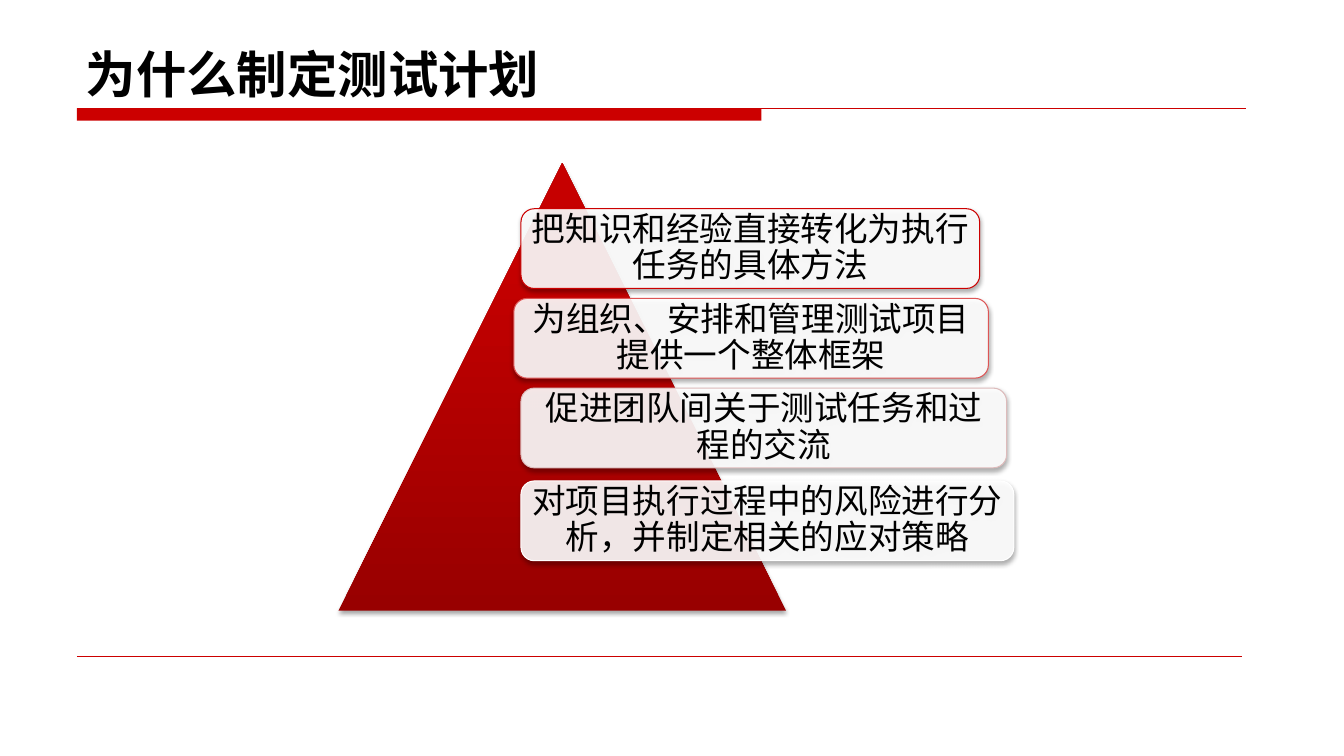
from pptx import Presentation
from pptx.dml.color import RGBColor
from pptx.enum.shapes import MSO_CONNECTOR, MSO_SHAPE
from pptx.enum.text import MSO_ANCHOR, PP_ALIGN
from pptx.util import Cm, Pt
from lxml.etree import SubElement
from pptx.oxml.ns import qn

THEME = {
    "red": RGBColor(0xCC, 0x00, 0x00),
    "pyramid_base": RGBColor(0x98, 0x00, 0x00),
    "pyramid_tip": RGBColor(0xC6, 0x00, 0x00),
    "card": RGBColor(0xFF, 0xFF, 0xFF),
    "text": RGBColor(0x00, 0x00, 0x00),
    "title_font": "Noto Sans CJK SC",
    "body_font": "DejaVu Sans",
    "title_size": Pt(36),
    "body_size": Pt(24),
}


def write_text(shape, text, font_name, size, bold, frame_format, paragraph_format):
    frame = shape.text_frame
    paragraph = frame.paragraphs[0]
    for target, values in ((frame, frame_format), (paragraph, paragraph_format)):
        for name, value in values.items():
            setattr(target, name, value)
    run = paragraph.add_run()
    run.text = text
    for name, value in {"name": font_name, "size": size, "bold": bold}.items():
        setattr(run.font, name, value)
    run.font.color.rgb = THEME["text"]
    SubElement(run.font._element, qn("a:ea"), typeface=font_name)


def cast_shadow(shape):
    """Give the shape a soft shadow straight below; call after setting its line."""
    shape.shadow.inherit = False
    effects = shape._element.spPr.find(qn("a:effectLst"))
    shadow = SubElement(effects, qn("a:outerShdw"), blurRad=str(Pt(3.1)),
                        dist=str(Pt(1.8)), dir="5400000", rotWithShape="0")
    black = SubElement(shadow, qn("a:srgbClr"), val="000000")
    SubElement(black, qn("a:alpha"), val="35000")


deck = Presentation()
deck.slide_width, deck.slide_height = Cm(33.87), Cm(19.05)
slide = deck.slides.add_slide(deck.slide_layouts[6])
shapes = slide.shapes

# Title with its rule, and the footer rule
title_bar = shapes.add_shape(MSO_SHAPE.RECTANGLE, Cm(1.94), Cm(2.73), Cm(17.25), Cm(0.31))
title_bar.shadow.inherit = False
title_bar.fill.solid()
title_bar.fill.fore_color.rgb = THEME["red"]
title_bar.line.fill.background()

for right, y, weight in ((31.4, 2.73, 0.75), (31.3, 16.53, 0.25)):
    rule = shapes.add_connector(MSO_CONNECTOR.STRAIGHT, Cm(1.94), Cm(y), Cm(right), Cm(y))
    rule.line.color.rgb = THEME["red"]
    rule.line.width = Pt(weight)
    SubElement(rule._element.spPr, qn("a:effectLst"))

title = shapes.add_textbox(Cm(1.91), Cm(0.74), Cm(29.64), Cm(2))
write_text(title, "为什么制定测试计划", THEME["title_font"], THEME["title_size"], True,
           {"word_wrap": True, "vertical_anchor": MSO_ANCHOR.BOTTOM},
           {"alignment": PP_ALIGN.LEFT})

# Pyramid
pyramid = shapes.add_shape(MSO_SHAPE.ISOSCELES_TRIANGLE, Cm(8.53), Cm(4.11), Cm(11.28), Cm(11.28))
pyramid.fill.gradient()
pyramid.fill.gradient_angle = 90
stops = pyramid.fill.gradient_stops
for stop, position, colour in zip(stops, (0, 0.8), ("pyramid_base", "pyramid_tip")):
    stop.position = position
    stop.color.rgb = THEME[colour]
pyramid.line.fill.background()
cast_shadow(pyramid)

# Reasons: left, top, width, outline, text
reasons = [
    (13.13, 5.26, 11.56, "CC0000", "把知识和经验直接转化为执行任务的具体方法"),
    (12.95, 7.52, 11.96, "DD5555", "为组织、安排和管理测试项目提供一个整体框架"),
    (13.13, 9.78, 12.24, "DDBBBB", "促进团队间关于测试任务和过程的交流"),
    (13.13, 12.12, 12.42, "FFFFFF", "对项目执行过程中的风险进行分析，并制定相关的应对策略"),
]
card_frame = {"word_wrap": True, "vertical_anchor": MSO_ANCHOR.MIDDLE,
              "margin_left": Cm(0.15), "margin_right": Cm(0.15),
              "margin_top": Cm(0.15), "margin_bottom": Cm(0.15)}
card_paragraph = {"alignment": PP_ALIGN.CENTER, "line_spacing": 0.9}

for left, top, width, outline, reason in reasons:
    card = shapes.add_shape(MSO_SHAPE.ROUNDED_RECTANGLE, Cm(left), Cm(top), Cm(width), Cm(2.01))
    card.fill.solid()
    card.fill.fore_color.rgb = THEME["card"]
    card_colour = card._element.spPr.find(qn("a:solidFill")).find(qn("a:srgbClr"))
    SubElement(card_colour, qn("a:alpha"), val="90000")
    card.line.color.rgb = RGBColor.from_string(outline)
    card.line.width = Pt(0.75)
    cast_shadow(card)
    write_text(card, reason, THEME["body_font"], THEME["body_size"], False,
               card_frame, card_paragraph)

deck.save("out.pptx")
